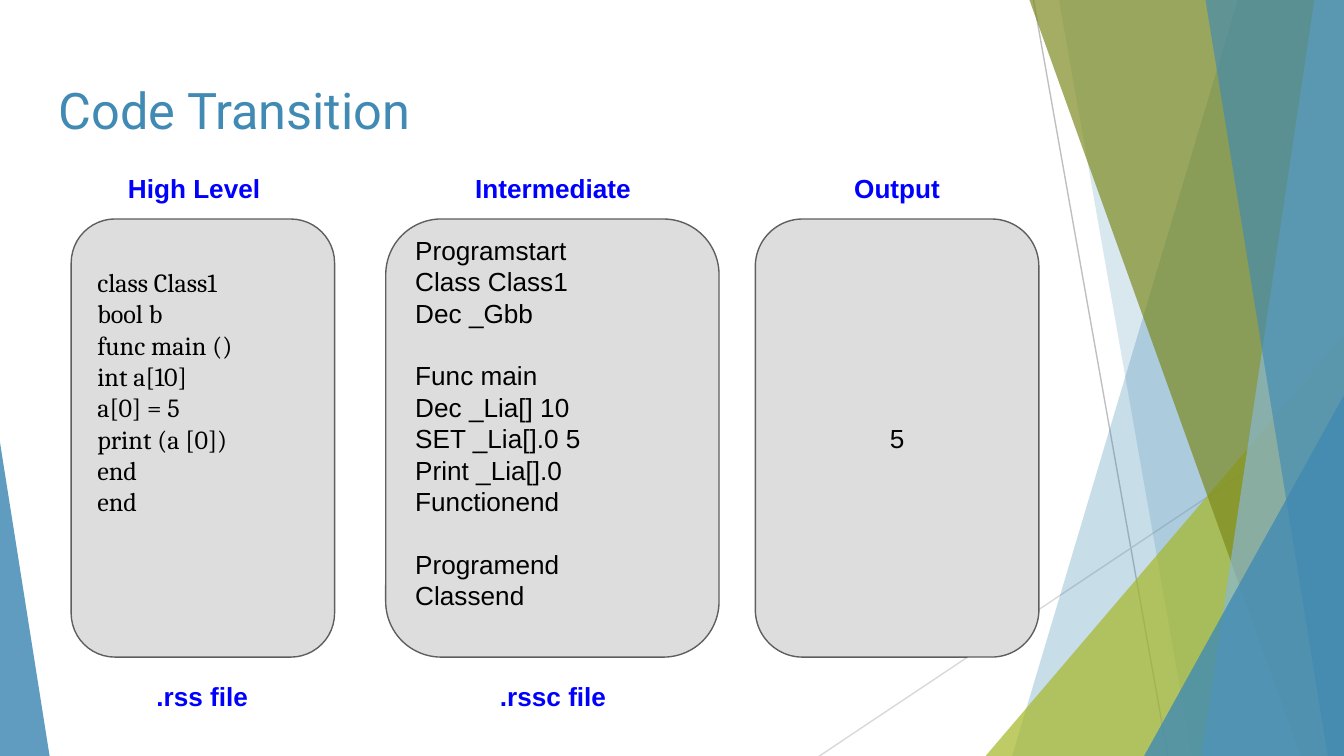
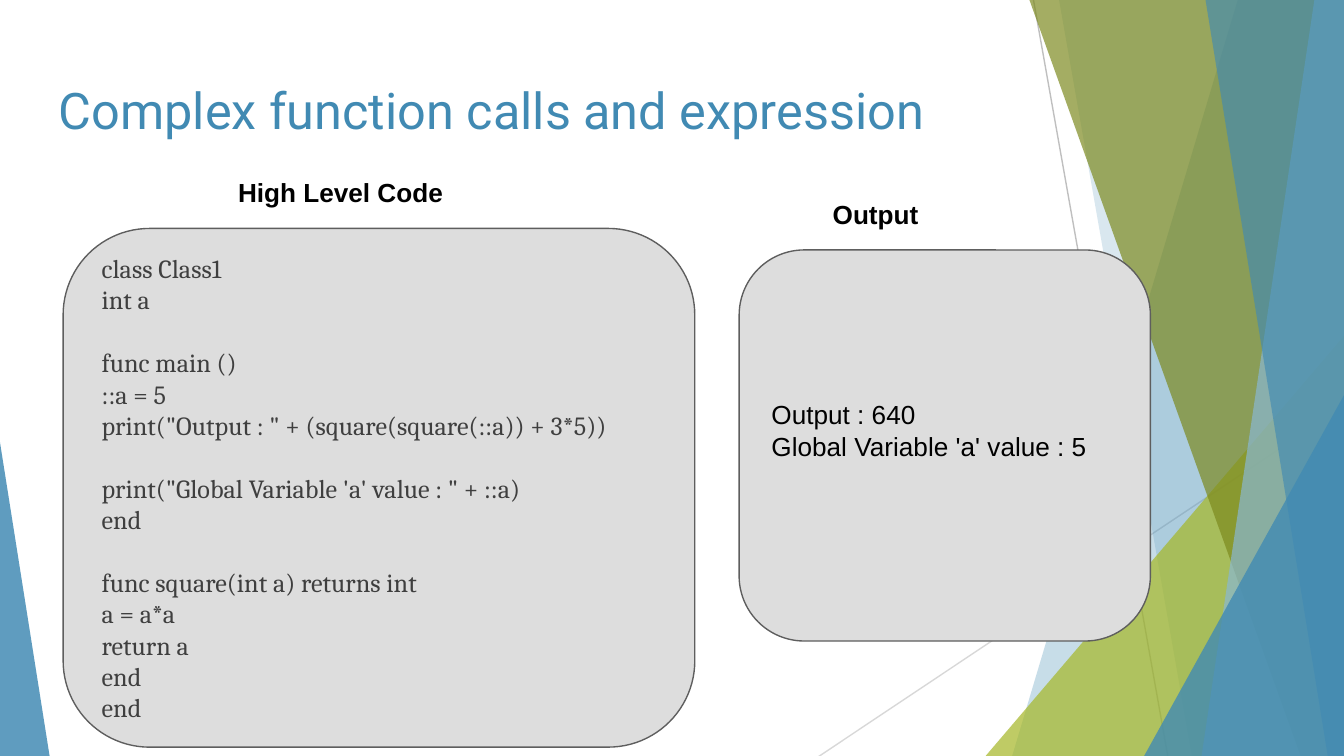
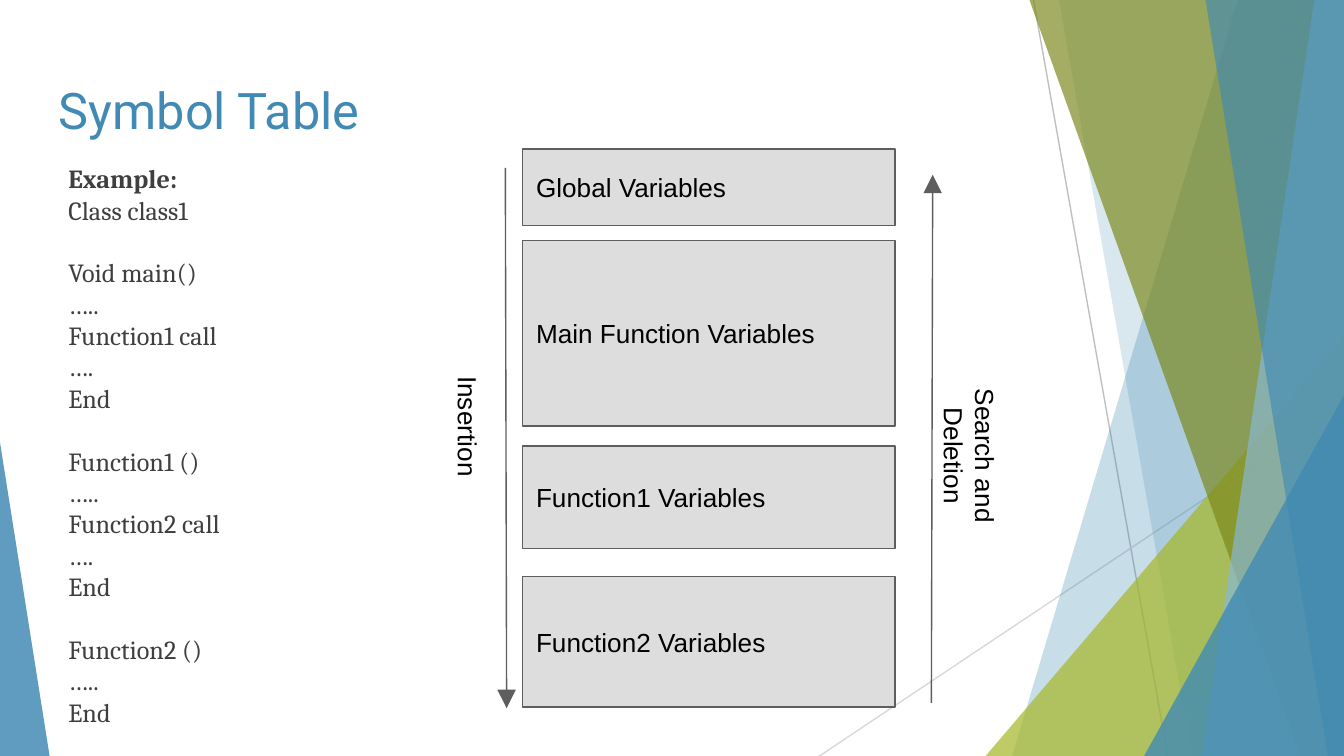
from dataclasses import dataclass

from pptx import Presentation
from pptx import util as u
from pptx.dml.color import RGBColor
from pptx.enum import shapes, text
from pptx.oxml import parse_xml
from pptx.oxml.ns import nsdecls, qn
from pptx.shapes.autoshape import Shape
from pptx.shapes.connector import Connector
from pptx.slide import Slide
from pptx.text.text import TextFrame

PX = u.Inches(1) // 100
WIDTH, BOTTOM = 1000, 563
PADDING = 10
BODY_SIZE = 14
LINE_RATIO = 1.2
BLANK_LINE = 23

COLORS = {
    "blue": "418AB3",
    "sky": "89B8D4",
    "lime": "A6B727",
    "olive": "7C891D",
    "steep line": "BFBFBF",
    "shallow line": "D8D8D8",
    "panel": "DDDDDD",
    "outline": "5E5E5E",
    "heading": "0000FF",
    "black": "000000",
    "soft black": "3F3F3F",
}


@dataclass(frozen=True)
class Box:
    left: int
    top: int
    width: int
    height: int


@dataclass(frozen=True)
class Style:
    font: str = "Arial"
    color: str = "black"
    size: int = BODY_SIZE
    bold: bool = False
    centred: bool = False


@dataclass(frozen=True)
class Band:
    """A facet from the top edge to the bottom edge, filling to the right."""
    top_x: int
    bottom_x: int
    color: str
    opacity: int


@dataclass(frozen=True)
class Wedge:
    """A right-angled triangle; apex 0 is over its left end, 1 over its right."""
    box: Box
    apex: int
    color: str
    opacity: int


@dataclass(frozen=True)
class Line:
    start: tuple[int, int]
    end: tuple[int, int]
    color: str = "outline"
    arrow: bool = False


@dataclass(frozen=True)
class Label:
    box: Box
    wording: str
    style: Style
    rotation: int = 0


@dataclass(frozen=True)
class Panel:
    box: Box
    wording: str
    style: Style = Style()
    blank_below: int = 0
    outline: shapes.MSO_SHAPE = shapes.MSO_SHAPE.ROUNDED_RECTANGLE


TITLE = Style("Roboto", "blue", 27)
BLUE_HEADING = Style(color="heading", bold=True, centred=True)
BLACK_HEADING = Style(bold=True, centred=True)
CENTRED = Style(centred=True)
CODE = Style("Cambria")
SOFT_CODE = Style("Cambria", "soft black")

BACKGROUND_LINES = [
    Line((769, 0), (869, BOTTOM), "steep line"),
    Line((1000, 302), (609, BOTTOM), "shallow line"),
]
FACETS = [
    Band(921, 753, "blue", 29),
    Band(788, 887, "blue", 20),
    Wedge(Box(733, 250, 267, 313), 1, "lime", 71),
    Band(766, 968, "olive", 69),
    Band(978, 894, "sky", 69),
    Band(897, 988, "blue", 64),
    Wedge(Box(851, 294, 149, 269), 1, "blue", 80),
    Wedge(Box(0, 329, 37, 234), 0, "blue", 84),
]

HIGH_LEVEL = """class Class1
bool b
func main ()
int a[10]
a[0] = 5
print (a [0])
end
end"""

INTERMEDIATE = """Programstart
Class Class1
Dec _Gbb

Func main
Dec _Lia[] 10
SET _Lia[].0 5
Print _Lia[].0
Functionend

Programend
Classend"""

EXPRESSIONS = """class Class1
int a

func main ()
::a = 5
print("Output : " + (square(square(::a)) + 3*5))

print("Global Variable 'a' value : " + ::a)
end

func square(int a) returns int
a = a*a
return a
end
end"""

SCOPES_EXAMPLE = """Example:
Class class1

Void main()
…..
Function1 call
….
End

Function1 ()
…..
Function2 call
….
End

Function2 ()
…..
End"""


def rgb(name: str) -> RGBColor:
    return RGBColor.from_string(COLORS[name])


def emu(box: Box) -> tuple[int, int, int, int]:
    return box.left * PX, box.top * PX, box.width * PX, box.height * PX


def write(frame: TextFrame, wording: str, style: Style) -> None:
    """Write one paragraph per line; an empty line becomes space before the next."""
    frame.word_wrap = True
    frame.margin_left = frame.margin_right = PADDING * PX
    frame.margin_top = frame.margin_bottom = PADDING * PX
    pitch = u.Pt(style.size * LINE_RATIO)
    for block_index, block in enumerate(wording.split("\n\n")):
        for line_index, line in enumerate(block.split("\n")):
            first = block_index == line_index == 0
            paragraph = frame.paragraphs[0] if first else frame.add_paragraph()
            paragraph.text = line
            paragraph.alignment = (
                text.PP_ALIGN.CENTER if style.centred else text.PP_ALIGN.LEFT
            )
            paragraph.line_spacing = pitch
            if block_index and not line_index:
                paragraph.space_before = pitch
            paragraph.font.name = style.font
            paragraph.font.size = u.Pt(style.size)
            paragraph.font.bold = style.bold
            paragraph.font.color.rgb = rgb(style.color)


def paint(shape: Shape, color: str, opacity: int = 100) -> None:
    shape.shadow.inherit = False
    shape.fill.solid()
    shape.fill.fore_color.rgb = rgb(color)
    shape.line.fill.background()
    if opacity < 100:
        tint = shape.element.spPr.find(".//" + qn("a:srgbClr"))
        tint.append(parse_xml(f'<a:alpha {nsdecls("a")} val="{opacity * 1000}"/>'))


def draw_line(slide: Slide, line: Line) -> Connector:
    ends = [value * PX for value in (*line.start, *line.end)]
    connector = slide.shapes.add_connector(shapes.MSO_CONNECTOR.STRAIGHT, *ends)
    connector.line.color.rgb = rgb(line.color)
    connector.line.width = u.Pt(0.75)
    properties = connector.element.spPr
    if line.arrow:
        properties.find(qn("a:ln")).append(parse_xml(
            f'<a:tailEnd {nsdecls("a")} type="triangle" w="lg" len="lg"/>'
        ))
    properties.append(parse_xml(f'<a:effectLst {nsdecls("a")}/>'))
    return connector


def draw_facet(slide: Slide, facet: Band | Wedge) -> None:
    if isinstance(facet, Band):
        builder = slide.shapes.build_freeform(facet.top_x, 0, scale=PX)
        builder.add_line_segments(
            [(WIDTH, 0), (WIDTH, BOTTOM), (facet.bottom_x, BOTTOM)], close=True
        )
        shape = builder.convert_to_shape()
    else:
        shape = slide.shapes.add_shape(
            shapes.MSO_SHAPE.ISOSCELES_TRIANGLE, *emu(facet.box)
        )
        shape.adjustments[0] = facet.apex
    paint(shape, facet.color, facet.opacity)


def draw_label(slide: Slide, label: Label) -> Shape:
    caption = slide.shapes.add_textbox(*emu(label.box))
    caption.rotation = label.rotation
    write(caption.text_frame, label.wording, label.style)
    return caption


def draw_panel(slide: Slide, panel: Panel) -> None:
    shape = slide.shapes.add_shape(panel.outline, *emu(panel.box))
    paint(shape, "panel")
    shape.line.color.rgb = rgb("outline")
    shape.line.width = u.Pt(0.75)
    frame = shape.text_frame
    write(frame, panel.wording, panel.style)
    frame.vertical_anchor = text.MSO_ANCHOR.MIDDLE
    frame.margin_bottom = (PADDING + panel.blank_below * BLANK_LINE) * PX


def add_titled_slide(deck: Presentation, title: str) -> Slide:
    slide = deck.slides.add_slide(deck.slide_layouts[6])
    for line in BACKGROUND_LINES:
        draw_line(slide, line)
    for facet in FACETS:
        draw_facet(slide, facet)
    draw_label(slide, Label(Box(34, 49, 932, 63), title, TITLE))
    return slide


def add_code_transition(deck: Presentation) -> None:
    slide = add_titled_slide(deck, "Code Transition")
    top, height = 163, 326
    for stage in (
        Panel(Box(53, top, 196, height), HIGH_LEVEL, CODE, blank_below=3),
        Panel(Box(287, top, 248, height), INTERMEDIATE, blank_below=1),
        Panel(Box(562, top, 211, height), "5", CENTRED),
    ):
        draw_panel(slide, stage)
    for left, label_top, wording in (
        (55, 118, "High Level"),
        (322, 118, "Intermediate"),
        (578, 118, "Output"),
        (61, 496, ".rss file"),
        (322, 496, ".rssc file"),
    ):
        draw_label(slide, Label(Box(left, label_top, 179, 37), wording, BLUE_HEADING))


def add_complex_calls(deck: Presentation) -> None:
    slide = add_titled_slide(deck, "Complex function calls and expression")
    draw_label(slide, Label(Box(112, 121, 283, 40), "High Level Code", BLACK_HEADING))
    draw_label(slide, Label(Box(510, 138, 283, 40), "Output", BLACK_HEADING))
    draw_panel(slide, Panel(Box(47, 170, 470, 386), EXPRESSIONS, SOFT_CODE))
    result = "Output : 640\nGlobal Variable 'a' value : 5"
    draw_panel(slide, Panel(Box(550, 186, 306, 291), result, blank_below=1))


def add_symbol_table(deck: Presentation) -> None:
    slide = add_titled_slide(deck, "Symbol Table")
    for top, height, scope in (
        (111, 57, "Global"),
        (179, 138, "Main Function"),
        (332, 76, "Function1"),
        (429, 97, "Function2"),
    ):
        draw_panel(slide, Panel(
            Box(389, top, 277, height), f"{scope} Variables",
            outline=shapes.MSO_SHAPE.FLOWCHART_PROCESS,
        ))
    draw_line(slide, Line((376, 125), (377, 527), arrow=True))
    draw_line(slide, Line((693, 523), (694, 130), arrow=True))
    draw_label(slide, Label(Box(281, 319, 138, 40), "Insertion", Style(), 90))
    draw_label(
        slide, Label(Box(655, 308, 138, 62), "Search and Deletion", CENTRED, 90)
    )
    example = draw_label(slide, Label(Box(41, 111, 312, 408), SCOPES_EXAMPLE, SOFT_CODE))
    example.text_frame.paragraphs[0].font.bold = True


def main() -> None:
    deck = Presentation()
    deck.slide_width = WIDTH * PX
    deck.slide_height = deck.slide_width * 9 // 16
    add_code_transition(deck)
    add_complex_calls(deck)
    add_symbol_table(deck)
    deck.save("out.pptx")


if __name__ == "__main__":
    main()
